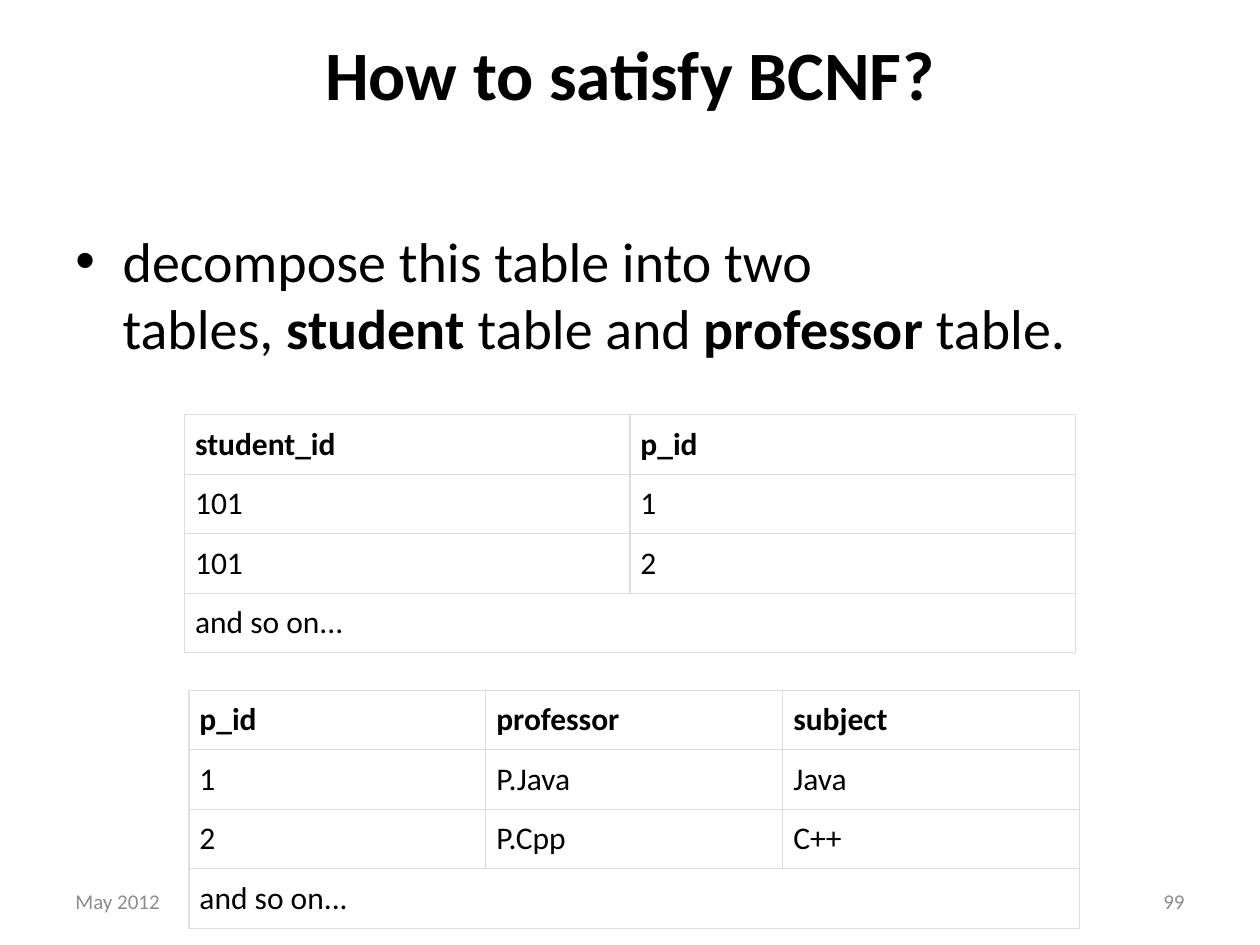
from dataclasses import dataclass

from lxml import etree
from pptx import Presentation
from pptx.dml.color import RGBColor
from pptx.enum.text import MSO_ANCHOR, PP_ALIGN
from pptx.oxml.ns import qn
from pptx.util import Pt

LEFT, CENTER, RIGHT = PP_ALIGN.LEFT, PP_ALIGN.CENTER, PP_ALIGN.RIGHT
TOP, MIDDLE = MSO_ANCHOR.TOP, MSO_ANCHOR.MIDDLE
NBSP = chr(160)


@dataclass(frozen=True)
class Theme:
    font: str = "Calibri"
    ink: str = "000000"
    muted: str = "8C8C8C"
    paper: str = "FFFFFF"
    grid: str = "DDDDDD"
    title: float = 39.6
    body: float = 32
    cell: float = 18
    footer: float = 12
    rule: float = 0.75


THEME = Theme()


def add_run(p, text, size, color=THEME.ink, bold=False):
    r = p.add_run()
    r.text = text
    r.font.name = THEME.font
    r.font.size = Pt(size)
    r.font.bold = bold
    r.font.color.rgb = RGBColor.from_string(color)


def add_text_box(slide, box, anchor=TOP, align=LEFT):
    """Add an empty wrapping text box and return its first paragraph."""
    tf = slide.shapes.add_textbox(*map(Pt, box)).text_frame
    tf.word_wrap = True
    tf.vertical_anchor = anchor
    p = tf.paragraphs[0]
    p.alignment = align
    return p


def add_title(slide, box, text):
    p = add_text_box(slide, box, align=CENTER)
    p._parent.margin_top = 0
    add_run(p, text, THEME.title, bold=True)


def add_bullet(slide, box, runs, indent=27):
    p = add_text_box(slide, box)
    pPr = p._p.get_or_add_pPr()
    pPr.set("marL", str(Pt(indent)))
    pPr.set("indent", str(-Pt(indent)))
    etree.SubElement(pPr, qn("a:buFont"), typeface="Arial")
    etree.SubElement(pPr, qn("a:buChar"), char="•")
    for text, bold in runs:
        add_run(p, text, THEME.body, bold=bold)


def add_footer(slide, box, date, number, part_width=168):
    left, top, width, height = box
    parts = ((left, date, LEFT), (left + width - part_width, number, RIGHT))
    for x, text, align in parts:
        p = add_text_box(slide, (x, top, part_width, height), MIDDLE, align)
        add_run(p, text, THEME.footer, THEME.muted)


def set_borders(cell):
    tcPr = cell._tc.get_or_add_tcPr()
    for i, side in enumerate(("lnL", "lnR", "lnT", "lnB")):
        ln = etree.Element(qn(f"a:{side}"), w=str(Pt(THEME.rule)))
        fill = etree.SubElement(ln, qn("a:solidFill"))
        etree.SubElement(fill, qn("a:srgbClr"), val=THEME.grid)
        tcPr.insert(i, ln)


def add_relation(slide, box, rows, closing):
    """Add a table with a bold header and a closing row merged across it."""
    n_rows, n_cols = len(rows) + 1, len(rows[0])
    left, top, width, height = box
    table = slide.shapes.add_table(n_rows, n_cols, *map(Pt, box)).table
    for col in table.columns:
        col.width = Pt(width / n_cols)
    for row in table.rows:
        row.height = Pt(height / n_rows)
    table.cell(n_rows - 1, 0).merge(table.cell(n_rows - 1, n_cols - 1))
    for i, row in enumerate([*rows, (closing,) + ("",) * (n_cols - 1)]):
        for j, text in enumerate(row):
            cell = table.cell(i, j)
            cell.margin_left = cell.margin_right = Pt(6)
            cell.margin_top = cell.margin_bottom = Pt(6)
            cell.fill.solid()
            cell.fill.fore_color.rgb = RGBColor.from_string(THEME.paper)
            set_borders(cell)
            if text:
                add_run(cell.text_frame.paragraphs[0], text, THEME.cell, bold=i == 0)


def main():
    prs = Presentation()
    prs.slide_width, prs.slide_height = Pt(720), Pt(540)
    slide = prs.slides.add_slide(prs.slide_layouts[6])

    add_title(slide, (36, 18, 648, 94), "How to satisfy BCNF?")
    add_bullet(slide, (36, 126, 648, 356), [
        (f"decompose this table into two tables,{NBSP}", False),
        ("student", True),
        (f"{NBSP}table and{NBSP}", False),
        ("professor", True),
        (f"{NBSP}table.", False),
    ])
    add_footer(slide, (36, 500.5, 648, 28.75), "May 2012", "99")
    add_relation(slide, (105.5, 237, 509, 136), [
        ("student_id", "p_id"),
        ("101", "1"),
        ("101", "2"),
    ], "and so on...")
    add_relation(slide, (108, 394.5, 509, 136), [
        ("p_id", "professor", "subject"),
        ("1", "P.Java", "Java"),
        ("2", "P.Cpp", "C++"),
    ], "and so on...")

    prs.save("out.pptx")


if __name__ == "__main__":
    main()
